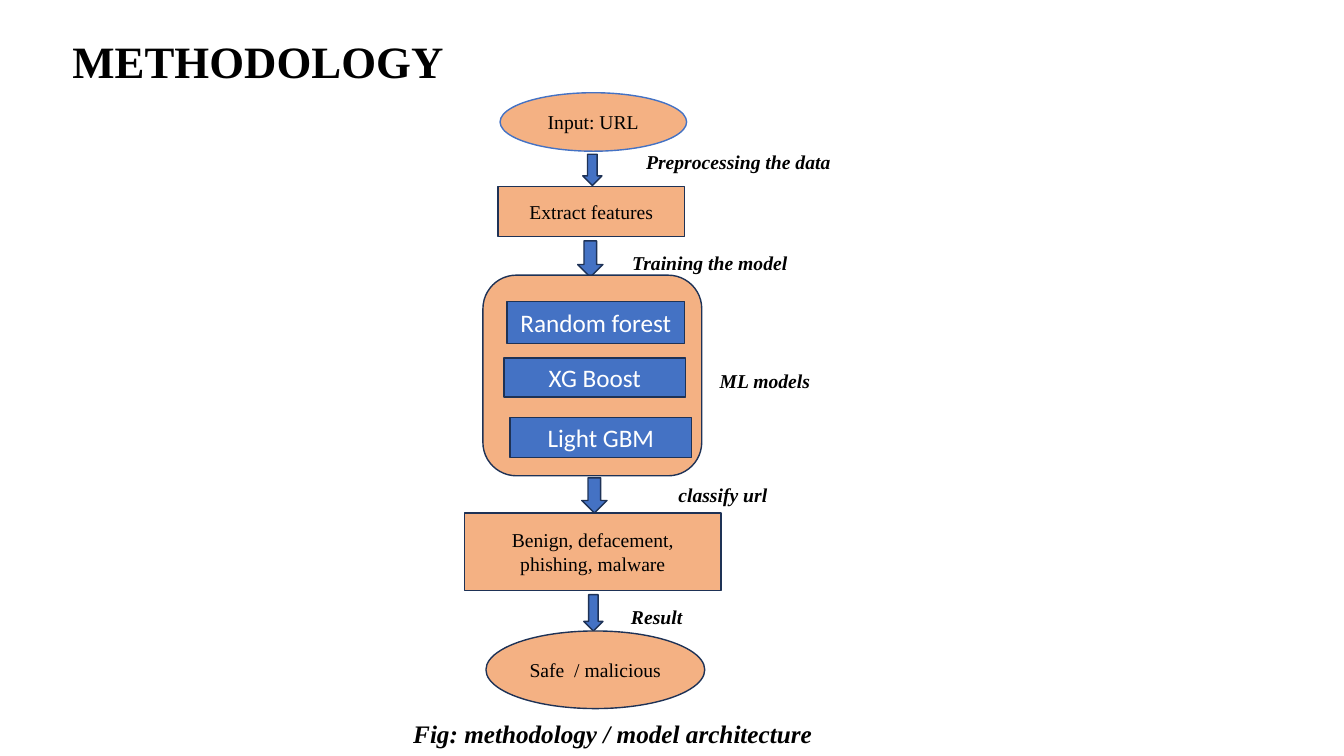
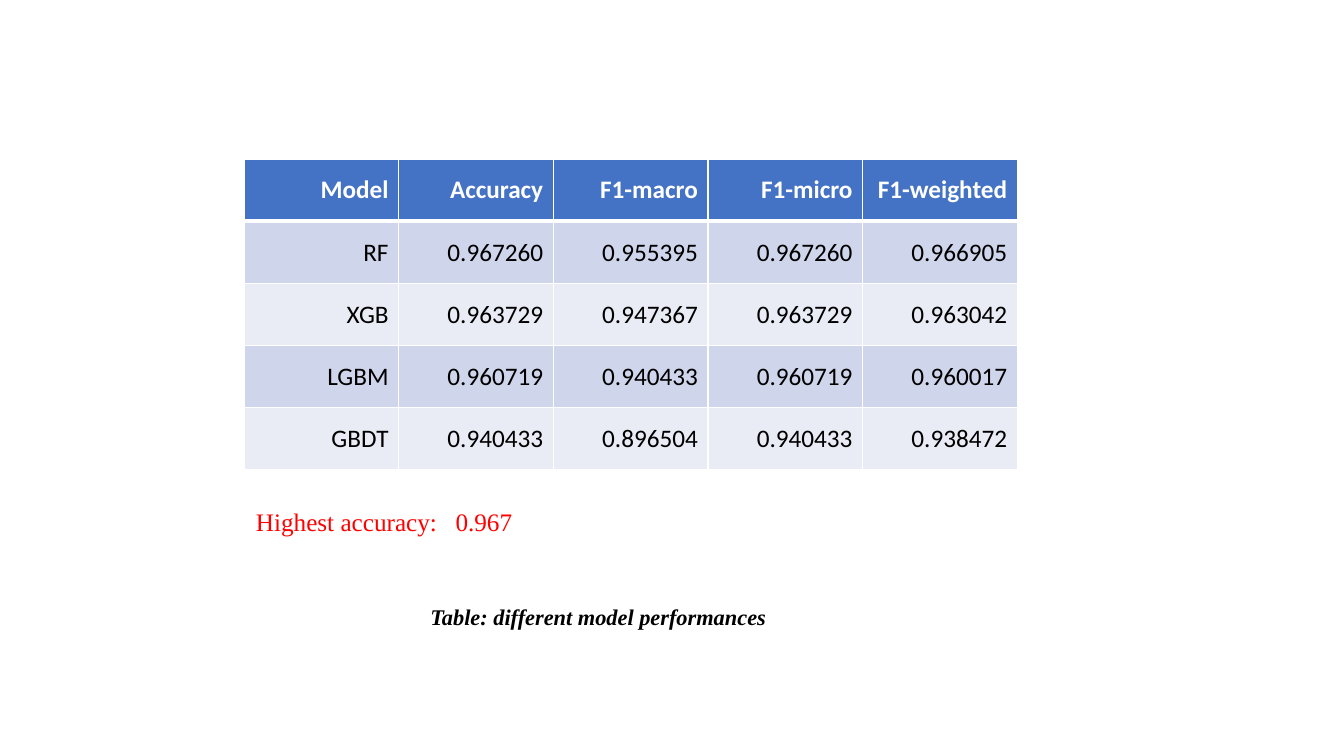
import lxml.etree
import pptx
import pptx.dml.color
import pptx.enum.shapes
import pptx.enum.text
import pptx.oxml.ns
import pptx.util

PX = 9144  # one hundredth of an inch
COLORS = {
    "black": "000000",
    "white": "FFFFFF",
    "red": "FF0000",
    "blue": "4472C4",
    "navy": "1E3256",
    "orange": "F4B183",
    "band_dark": "CFD5EA",
    "band_light": "E9EBF5",
}
SERIF, SANS = "Times New Roman", "Calibri"
RGB = {name: pptx.dml.color.RGBColor.from_string(code) for name, code in COLORS.items()}
SHAPE = pptx.enum.shapes.MSO_SHAPE
ALIGN = pptx.enum.text.PP_ALIGN
MIDDLE = pptx.enum.text.MSO_ANCHOR.MIDDLE
qn = pptx.oxml.ns.qn


def write(frame, text, size, font=SERIF, color="black", bold=False, italic=False, align=ALIGN.LEFT):
    """Put one styled paragraph in a text frame and return it."""
    para = frame.paragraphs[0]
    para.text = text
    para.alignment = align
    para.font.size = pptx.util.Pt(size)
    para.font.name = font
    para.font.bold = bold
    para.font.italic = italic
    para.font.color.rgb = RGB[color]
    return para


def add_text(page, bounds, text, size, **style):
    box = page.shapes.add_textbox(*(n * PX for n in bounds))
    box.text_frame.word_wrap = True
    return write(box.text_frame, text, size, **style)


deck = pptx.Presentation()
deck.slide_width = 1333 * PX
deck.slide_height = 750 * PX
blank = deck.slide_layouts[6]

# Slide 1: flow chart
page = deck.slides.add_slide(blank)
add_text(page, (62, 29, 450, 64), "METHODOLOGY", 32, bold=True)

step = {"size": 14, "font": SERIF, "color": "black"}
model = {"size": 18, "font": SANS, "color": "white"}
flow = [
    (SHAPE.OVAL, (496, 92, 185, 58), "orange", "blue", "Input: URL", step),
    (SHAPE.DOWN_ARROW, (578, 153, 19, 31), "blue", "navy", "", step),
    (SHAPE.RECTANGLE, (494, 185, 185, 50), "orange", "navy", "Extract features", step),
    (SHAPE.DOWN_ARROW, (573, 239, 25, 36), "blue", "navy", "", step),
    (SHAPE.ROUNDED_RECTANGLE, (479, 273, 217, 199), "orange", "navy", "", step),
    (SHAPE.RECTANGLE, (503, 299, 176, 42), "blue", "navy", "Random forest", model),
    (SHAPE.RECTANGLE, (500, 355, 180, 39), "blue", "navy", "XG Boost", model),
    (SHAPE.RECTANGLE, (506, 414, 180, 40), "blue", "navy", "Light GBM", model),
    (SHAPE.DOWN_ARROW, (577, 474, 25, 35), "blue", "navy", "", step),
    (SHAPE.RECTANGLE, (461, 509, 254, 77), "orange", "navy", "Benign, defacement, phishing, malware", step),
    (SHAPE.DOWN_ARROW, (579, 590, 19, 36), "blue", "navy", "", step),
    (SHAPE.OVAL, (482, 626, 217, 77), "orange", "navy", "Safe  / malicious", step),
]
for kind, bounds, fill, line, text, style in flow:
    shape = page.shapes.add_shape(kind, *(n * PX for n in bounds))
    shape.shadow.inherit = False
    shape.fill.solid()
    shape.fill.fore_color.rgb = RGB[fill]
    shape.line.color.rgb = RGB[line]
    shape.line.width = pptx.util.Pt(1)
    if text:
        shape.text_frame.word_wrap = True
        shape.text_frame.vertical_anchor = MIDDLE
        write(shape.text_frame, text, align=ALIGN.CENTER, **style)

labels = [
    (631, 144, 312, "Preprocessing the data"),
    (617, 244, 329, "Training the model"),
    (704, 361, 217, "ML models"),
    (663, 474, 158, "classify url"),
    (616, 595, 142, "Result"),
]
for left, top, width, text in labels:
    add_text(page, (left, top, width, 34), text, 14, bold=True, italic=True)
add_text(page, (400, 708, 458, 40), "Fig: methodology / model architecture", 18, bold=True, italic=True)

# Slide 2: model scores
page = deck.slides.add_slide(blank)
scores = [
    ("Model", "Accuracy", "F1-macro", "F1-micro", "F1-weighted"),
    ("RF", "0.967260", "0.955395", "0.967260", "0.966905"),
    ("XGB", "0.963729", "0.947367", "0.963729", "0.963042"),
    ("LGBM", "0.960719", "0.940433", "0.960719", "0.960017"),
    ("GBDT", "0.940433", "0.896504", "0.940433", "0.938472"),
]
bounds = (242, 158, 767, 308)
table = page.shapes.add_table(len(scores), len(scores[0]), *(n * PX for n in bounds)).table
for row, values in enumerate(scores):
    header = row == 0
    fill = "blue" if header else ("band_light", "band_dark")[row % 2]
    borders = {"a:lnL": 1, "a:lnR": 1, "a:lnT": 3 if row == 1 else 1, "a:lnB": 3 if header else 1}
    for column, value in enumerate(values):
        cell = table.cell(row, column)
        cell.vertical_anchor = MIDDLE
        write(cell.text_frame, value, 18, font=SANS, color="white" if header else "black",
              bold=header, align=ALIGN.RIGHT)
        properties = cell._tc.get_or_add_tcPr()
        for tag, width in borders.items():
            border = lxml.etree.SubElement(properties, qn(tag), w=str(pptx.util.Pt(width)))
            solid = lxml.etree.SubElement(border, qn("a:solidFill"))
            lxml.etree.SubElement(solid, qn("a:srgbClr"), val=COLORS["white"])
        cell.fill.solid()
        cell.fill.fore_color.rgb = RGB[fill]

para = add_text(page, (244, 497, 666, 41), "Highest accuracy:\t0.967", 18, color="red")
tabs = lxml.etree.Element(qn("a:tabLst"))
lxml.etree.SubElement(tabs, qn("a:tab"), pos=str(198 * PX), algn="l")
para._p.get_or_add_pPr().insert(0, tabs)
add_text(page, (417, 593, 433, 37), "Table: different model performances", 16, bold=True, italic=True)

deck.save("out.pptx")
